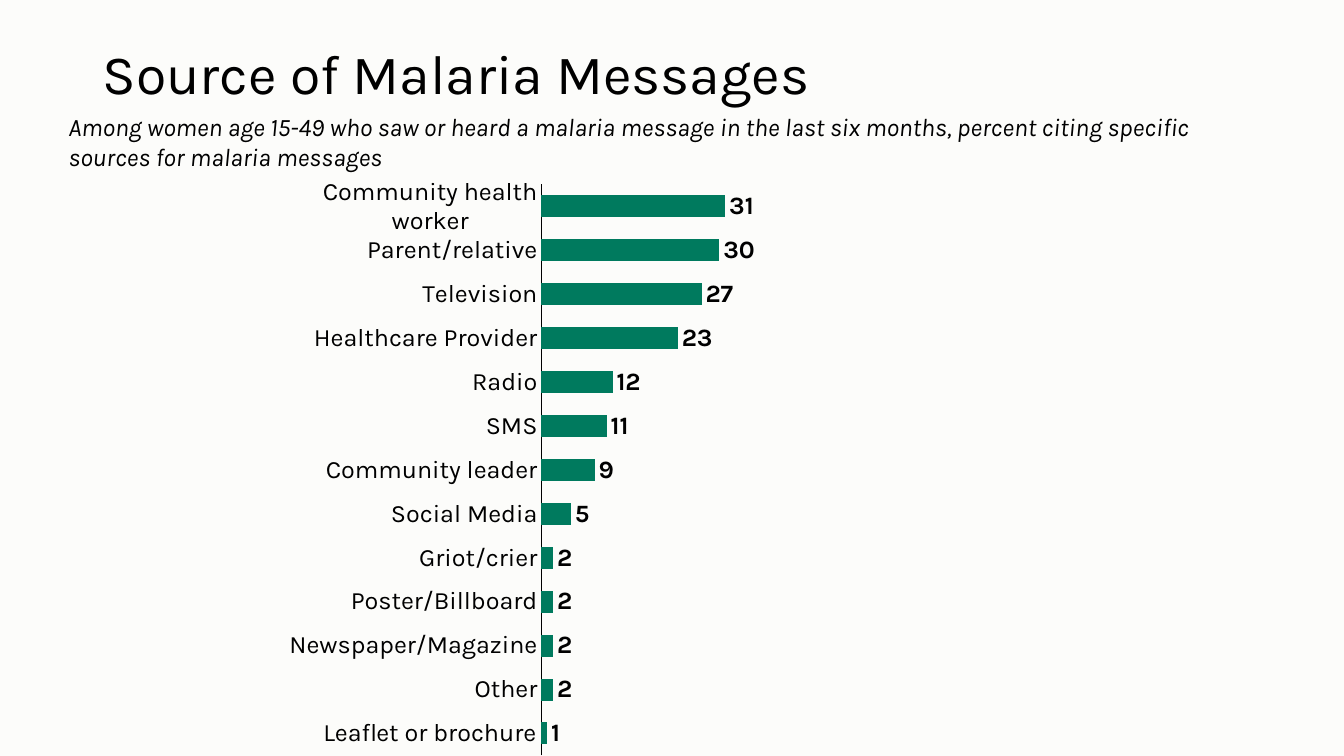
from dataclasses import dataclass

from lxml import etree
from pptx import Presentation
from pptx.chart.data import CategoryChartData
from pptx.dml.color import RGBColor
from pptx.enum.chart import XL_CHART_TYPE, XL_LABEL_POSITION, XL_TICK_MARK
from pptx.enum.text import MSO_ANCHOR
from pptx.oxml.ns import qn
from pptx.util import Inches, Pt

BAR = XL_CHART_TYPE.BAR_CLUSTERED
OUT_END = XL_LABEL_POSITION.OUTSIDE_END
NO_TICK = XL_TICK_MARK.NONE
TOP, MIDDLE = MSO_ANCHOR.TOP, MSO_ANCHOR.MIDDLE


@dataclass(frozen=True)
class Theme:
    face: str = "Karla"
    paper: RGBColor = RGBColor(0xFC, 0xFC, 0xFA)
    ink: RGBColor = RGBColor(0, 0, 0)
    green: RGBColor = RGBColor(0x00, 0x7A, 0x5E)
    title: float = 39.6
    body: float = 18


@dataclass(frozen=True)
class Box:
    left: float
    top: float
    width: float
    height: float

    def place(self) -> tuple:
        return tuple(Inches(n) for n in (self.left, self.top, self.width, self.height))


@dataclass(frozen=True)
class Source:
    name: str
    share: int


THEME = Theme()
PLOT = {"x": 0.27, "y": 0, "w": 0.644, "h": 1}
SOURCES = [
    Source("Community health worker", 31),
    Source("Parent/relative", 30),
    Source("Television", 27),
    Source("Healthcare Provider", 23),
    Source("Radio", 12),
    Source("SMS", 11),
    Source("Community leader", 9),
    Source("Social Media", 5),
    Source("Griot/crier", 2),
    Source("Poster/Billboard", 2),
    Source("Newspaper/Magazine", 2),
    Source("Other", 2),
    Source("Leaflet or brochure", 1),
]


def set_font(font, size: float, bold: bool = False, italic: bool = False) -> None:
    font.name = THEME.face
    font.size = Pt(size)
    font.bold = bold
    font.italic = italic
    font.color.rgb = THEME.ink


def add_text(slide, text: str, box: Box, *, size: float, italic: bool = False,
             anchor=TOP, lines: float = 1.0) -> None:
    frame = slide.shapes.add_textbox(*box.place()).text_frame
    frame.word_wrap = True
    frame.vertical_anchor = anchor
    par = frame.paragraphs[0]
    par.line_spacing = lines
    run = par.add_run()
    run.text = text
    set_font(run.font, size, italic=italic)


def set_plot(chart) -> None:
    area = chart.element.find(".//" + qn("c:plotArea"))
    for old in area.findall(qn("c:layout")):
        area.remove(old)
    layout = etree.Element(qn("c:layout"))
    area.insert(0, layout)
    manual = etree.SubElement(layout, qn("c:manualLayout"))
    rules = {"layoutTarget": "inner", "xMode": "edge", "yMode": "edge", **PLOT}
    for tag, value in rules.items():
        etree.SubElement(manual, qn(f"c:{tag}")).set("val", str(value))


def add_bars(slide, sources: list[Source], box: Box) -> None:
    data = CategoryChartData()
    rows = sources[::-1]
    data.categories = [row.name for row in rows]
    data.add_series("Series 1", [row.share for row in rows])
    chart = slide.shapes.add_chart(BAR, *box.place(), data).chart
    chart.has_title = False
    chart.has_legend = False
    set_font(chart.font, THEME.body)
    set_plot(chart)

    names = chart.category_axis
    names.major_tick_mark = NO_TICK
    names.minor_tick_mark = NO_TICK
    names.has_major_gridlines = False
    names.format.line.color.rgb = THEME.ink
    names.format.line.width = Pt(0.75)
    set_font(names.tick_labels.font, THEME.body)

    scale = chart.value_axis
    scale.minimum_scale = 0
    scale.maximum_scale = 100
    scale.has_major_gridlines = False
    scale.visible = False

    plot = chart.plots[0]
    plot.gap_width = 100
    plot.vary_by_categories = False
    bars = plot.series[0]
    bars.format.fill.solid()
    bars.format.fill.fore_color.rgb = THEME.green
    labels = bars.data_labels
    labels.show_value = True
    labels.position = OUT_END
    set_font(labels.font, THEME.body, bold=True)


def main() -> None:
    deck = Presentation()
    deck.slide_width = Inches(13.33)
    deck.slide_height = Inches(7.5)
    slide = deck.slides.add_slide(deck.slide_layouts[6])
    fill = slide.background.fill
    fill.solid()
    fill.fore_color.rgb = THEME.paper

    add_text(slide, "Source of Malaria Messages", Box(0.92, 0.4, 11.5, 0.71),
             size=THEME.title, anchor=MIDDLE, lines=0.9)
    add_bars(slide, SOURCES, Box(2.87, 1.76, 9.17, 5.74))
    add_text(slide, "Among women age 15-49 who saw or heard a malaria message in the "
             "last six months, percent citing specific sources for malaria messages",
             Box(0.58, 1.05, 12.05, 0.71), size=THEME.body, italic=True)
    deck.save("out.pptx")


if __name__ == "__main__":
    main()
